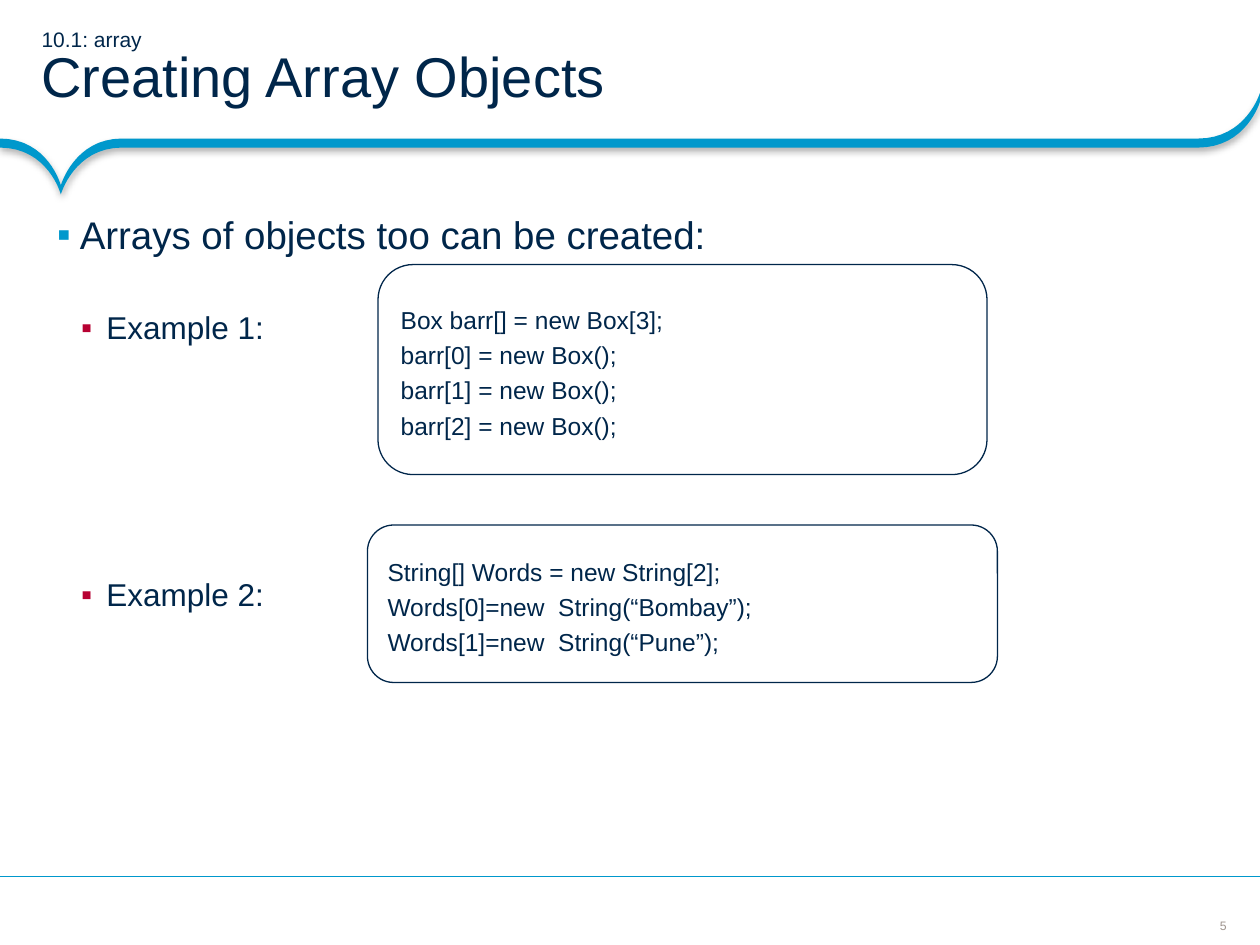
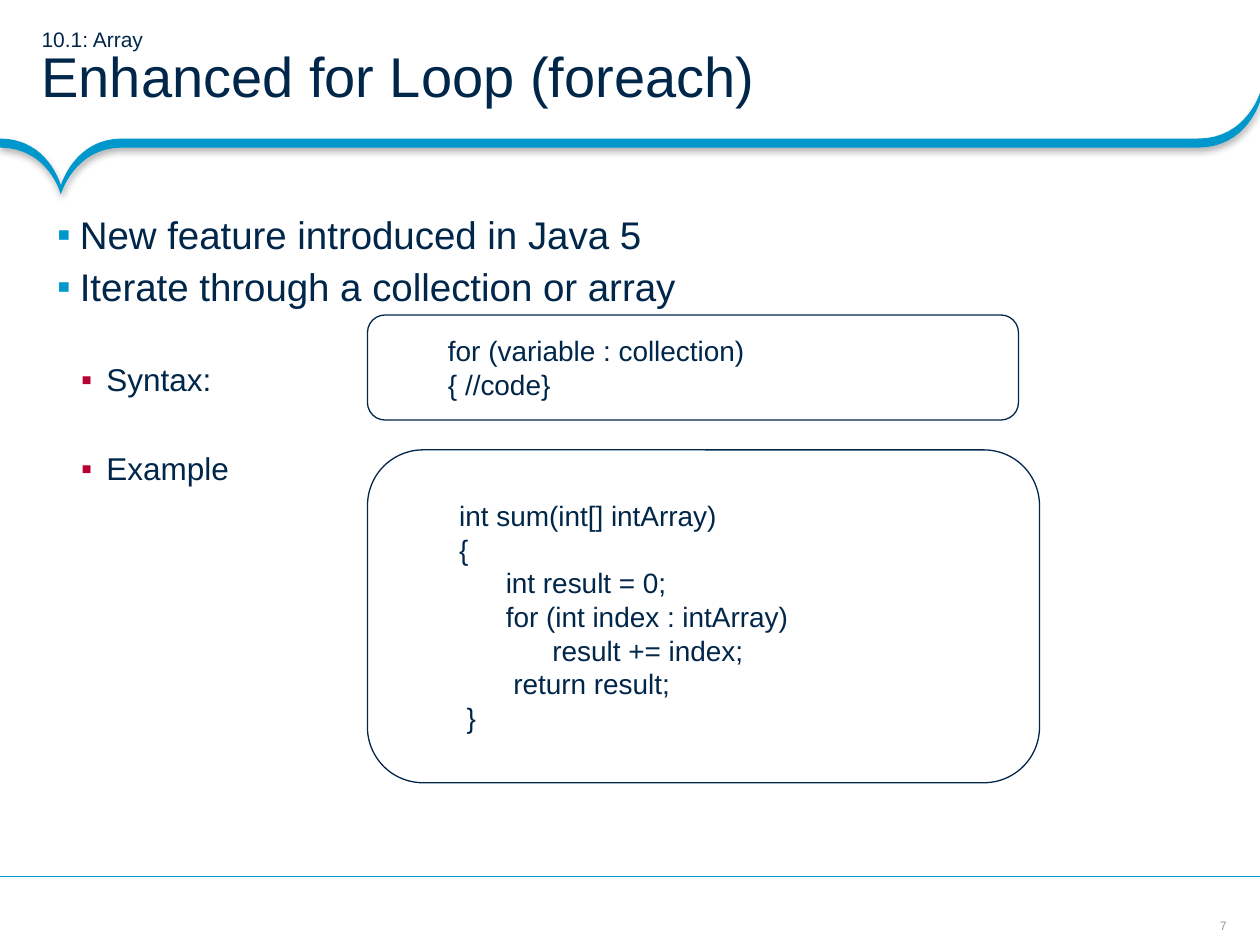
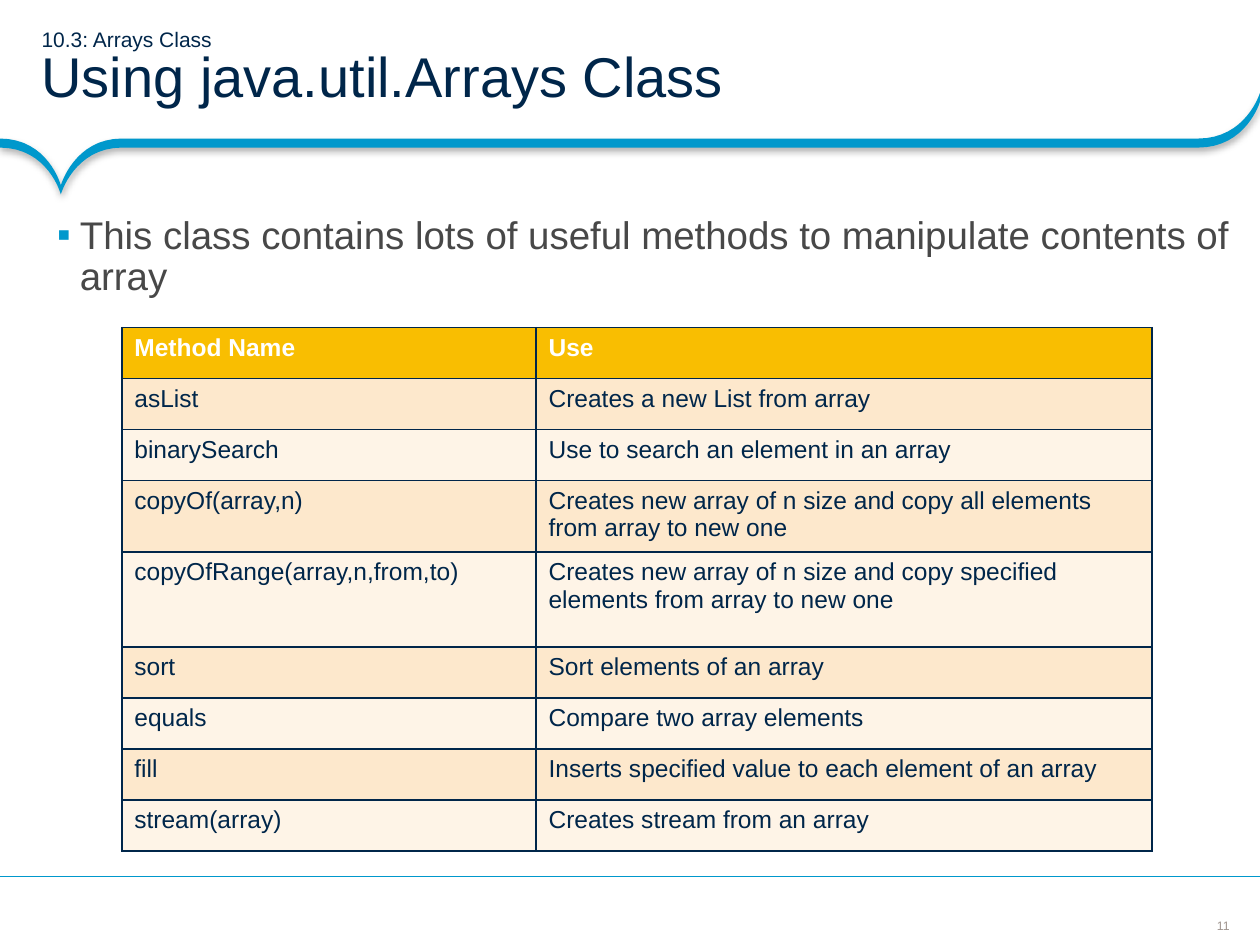
from dataclasses import dataclass

from lxml import etree
from pptx import Presentation
from pptx.dml.color import RGBColor
from pptx.enum.shapes import MSO_CONNECTOR, MSO_SHAPE
from pptx.enum.text import MSO_ANCHOR, PP_ALIGN
from pptx.oxml.ns import qn
from pptx.util import Inches, Pt

ROUNDED = MSO_SHAPE.ROUNDED_RECTANGLE
STRAIGHT = MSO_CONNECTOR.STRAIGHT
TOP, MIDDLE = MSO_ANCHOR.TOP, MSO_ANCHOR.MIDDLE
LEFT, CENTER = PP_ALIGN.LEFT, PP_ALIGN.CENTER

WIDTH, HEIGHT = Inches(10), Inches(7.5)
COLUMNS, ROWS = 120, 90  # square grid cells


@dataclass(frozen=True)
class Theme:
    font: str = "Arial"
    navy: str = "00264A"
    blue: str = "0098CC"
    red: str = "B70132"
    gray: str = "484848"
    page_gray: str = "9F958F"
    white: str = "FFFFFF"
    header: str = "F9BE01"
    bands: tuple = ("FDE8CC", "FEF4E7")
    title: int = 32
    bullet: int = 22
    sub_bullet: int = 18
    code: int = 16
    small_code: int = 14
    cell: int = 14
    section: int = 12
    page: int = 7
    hairline: float = 0.75
    border: float = 1


def rgb(value):
    return RGBColor.from_string(value)


def add_xml(parent, tag, **attributes):
    return etree.SubElement(parent, qn(tag), {k: str(v) for k, v in attributes.items()})


def curve(start, first, second, end, steps=16):
    """Points of a cubic curve, without its start."""
    for step in range(1, steps + 1):
        t = step / steps
        weights = ((1 - t) ** 3, 3 * t * (1 - t) ** 2, 3 * t * t * (1 - t), t ** 3)
        yield tuple(sum(w * p[axis] for w, p in zip(weights, (start, first, second, end)))
                    for axis in (0, 1))


class Deck:
    def __init__(self, theme):
        self.theme = theme
        self.presentation = Presentation()
        self.presentation.slide_width = WIDTH
        self.presentation.slide_height = HEIGHT
        self.slide = None

    # Grid
    def x(self, columns):
        return round(WIDTH * columns / COLUMNS)

    def y(self, rows):
        return round(HEIGHT * rows / ROWS)

    def area(self, left, top, width, height):
        return self.x(left), self.y(top), self.x(width), self.y(height)

    # Text
    def style(self, paragraph, size, color, bold=False, align=LEFT, spacing=1.0):
        paragraph.alignment = align
        paragraph.line_spacing = spacing
        font = paragraph.font
        font.name, font.size, font.bold = self.theme.font, Pt(size), bold
        font.color.rgb = rgb(color)

    def indent(self, paragraph, margin, hanging=0.0):
        properties = paragraph._p.get_or_add_pPr()
        properties.set("marL", str(Inches(margin)))
        properties.set("indent", str(Inches(-hanging)))
        return properties

    def frame(self, shape, margins, anchor):
        frame = shape.text_frame
        frame.word_wrap = True
        frame.vertical_anchor = anchor
        (frame.margin_left, frame.margin_top,
         frame.margin_right, frame.margin_bottom) = map(Inches, margins)
        return frame

    def text_area(self, area, margins=(0, 0, 0, 0), anchor=TOP):
        return self.frame(self.slide.shapes.add_textbox(*self.area(*area)), margins, anchor)

    def paragraphs(self, frame, count):
        return [frame.paragraphs[0]] + [frame.add_paragraph() for _ in range(count - 1)]

    # Slide with its shared parts
    def start(self, section, title, number):
        self.slide = self.presentation.slides.add_slide(self.presentation.slide_layouts[6])
        self.page_number(number)
        self.band()
        self.footer_rule()
        self.heading(section, title)

    def page_number(self, number):
        paragraph = self.text_area((114.5, 87.5, 4, 1.4), anchor=MIDDLE).paragraphs[0]
        paragraph.text = str(number)
        self.style(paragraph, self.theme.page, self.theme.page_gray, align=CENTER)

    def band(self):
        level, thickness = 13.2, 0.86
        start, tip, shoulder = (0, level), (5.8, 17.65), (11.6, level)
        bend, end = (114.1, level), (COLUMNS, 8.85)
        upper = [start,
                 *curve(start, (4.6, level), tip, tip),
                 *curve(tip, tip, (7.1, level), shoulder),
                 bend,
                 *curve(bend, (118.7, level), end, end)]
        lower = [(column, row + thickness) for column, row in reversed(upper)]
        outline = [(self.x(column), self.y(row)) for column, row in upper + lower]
        builder = self.slide.shapes.build_freeform(*outline[0])
        builder.add_line_segments(outline[1:], close=True)
        band = builder.convert_to_shape()
        band.fill.solid()
        band.fill.fore_color.rgb = rgb(self.theme.blue)
        band.line.fill.background()
        band.shadow.inherit = False
        effects = band._element.spPr.find(qn("a:effectLst"))
        shadow = add_xml(effects, "a:outerShdw", blurRad=Pt(4), dist=Pt(2),
                         dir=90 * 60000, rotWithShape=0)
        add_xml(add_xml(shadow, "a:srgbClr", val="000000"), "a:alpha", val=31000)

    def footer_rule(self):
        row = self.y(83.5)
        rule = self.slide.shapes.add_connector(STRAIGHT, WIDTH, row, 0, row)
        rule.line.color.rgb = rgb(self.theme.blue)
        rule.line.width = Pt(self.theme.hairline)
        add_xml(rule._element.spPr, "a:effectLst")

    def heading(self, section, title):
        frame = self.text_area((0, 0, COLUMNS, 13.2), (0.33, 0.04, 0.18, 0.04), MIDDLE)
        paragraph = frame.paragraphs[0]
        self.style(paragraph, self.theme.section, self.theme.navy, spacing=0.85)
        paragraph.add_run().text = section
        paragraph.add_line_break()
        title_run = paragraph.add_run()
        title_run.text = title
        title_run.font.size = Pt(self.theme.title)

    # Bullets: (text, level, space before in points)
    def bullets(self, items, color=None):
        theme = self.theme
        levels = ((theme.bullet, theme.blue, 0.18, 0.18),
                  (theme.sub_bullet, theme.red, 0.39, 0.2))
        frame = self.text_area((4, 19.6, 116, 61), (0.12, 0.08, 0.08, 0.08))
        for paragraph, (text, level, before) in zip(self.paragraphs(frame, len(items)), items):
            size, mark, margin, hanging = levels[level]
            paragraph.text = text
            paragraph.level = level
            properties = self.indent(paragraph, margin, hanging)
            add_xml(add_xml(properties, "a:buClr"), "a:srgbClr", val=mark)
            add_xml(properties, "a:buFont", typeface=theme.font)
            add_xml(properties, "a:buChar", char="▪")
            self.style(paragraph, size, color or theme.navy, spacing=0.9)
            paragraph.space_before, paragraph.space_after = Pt(before), Pt(6)

    # Code box: lines of (text, indent in inches)
    def code(self, area, lines, size, spacing=1.0):
        box = self.slide.shapes.add_shape(ROUNDED, *self.area(*area))
        box.adjustments[0] = 0.167
        box.fill.background()
        box.line.color.rgb = rgb(self.theme.navy)
        box.line.width = Pt(self.theme.hairline)
        box.shadow.inherit = False
        frame = self.frame(box, (0.1, 0.05, 0.1, 0.05), MIDDLE)
        for paragraph, (text, margin) in zip(self.paragraphs(frame, len(lines)), lines):
            paragraph.text = text
            self.indent(paragraph, margin)
            self.style(paragraph, size, self.theme.navy, spacing=spacing)

    # Table
    def table(self, left, top, widths, heights, rows):
        theme = self.theme
        table = self.slide.shapes.add_table(
            len(rows), len(widths),
            *self.area(left, top, sum(widths), sum(heights))).table
        table.horz_banding = False
        for column, width in zip(table.columns, widths):
            column.width = self.x(width)
        for index, (row, height, texts) in enumerate(zip(table.rows, heights, rows)):
            row.height = self.y(height)
            is_header = index == 0
            fill = theme.header if is_header else theme.bands[(index - 1) % 2]
            for cell, text in zip(row.cells, texts):
                cell.text = text
                self.style(cell.text_frame.paragraphs[0], theme.cell,
                           theme.white if is_header else theme.navy, bold=is_header)
                self.borders(cell)
                cell.fill.solid()
                cell.fill.fore_color.rgb = rgb(fill)

    def borders(self, cell):
        properties = cell._tc.get_or_add_tcPr()
        for side in ("a:lnL", "a:lnR", "a:lnT", "a:lnB"):
            line = add_xml(properties, side, w=Pt(self.theme.border))
            add_xml(add_xml(line, "a:solidFill"), "a:srgbClr", val=self.theme.navy)


def array_objects(deck):
    deck.start("10.1: array", "Creating Array Objects", 5)
    deck.bullets([("Arrays of objects too can be created:", 0, 0),
                  ("Example 1:", 1, 25.4),
                  ("Example 2:", 1, 127)])
    box_array = ("Box barr[] = new Box[3];", "barr[0] = new Box();",
                 "barr[1] = new Box();", "barr[2] = new Box();")
    word_array = ("String[] Words = new String[2];",
                  "Words[0]=new  String(“Bombay”);",
                  "Words[1]=new  String(“Pune”);")
    for area, lines in (((36, 25.2, 58, 20), box_array), ((35, 50, 60, 15), word_array)):
        deck.code(area, [(line, 0) for line in lines], deck.theme.small_code, spacing=1.2)


def enhanced_for(deck):
    deck.start("10.1: Array", "Enhanced for Loop (foreach)", 7)
    deck.bullets([("New feature introduced in Java 5", 0, 0),
                  ("Iterate through a collection or array", 0, 0),
                  ("Syntax:", 1, 25.4),
                  ("Example", 1, 25.4)])
    sum_method = [("int sum(int[] intArray)", 0.5), ("{", 0.5),
                  ("int result = 0;", 0.87), ("for (int index : intArray)", 0.87),
                  ("result += index;", 1.24), ("return result;", 0.93), ("}", 0.56)]
    syntax = [("for (variable : collection)", 0.5), ("{ //code}", 0.5)]
    deck.code((35, 42.85, 64, 31.7), sum_method, deck.theme.code)
    deck.code((35, 30, 62, 10), syntax, deck.theme.code)


def arrays_class(deck):
    deck.start("10.3: Arrays Class", "Using java.util.Arrays Class", 11)
    methods = [
        ("Method Name", "Use"),
        ("asList", "Creates a new List from array"),
        ("binarySearch", "Use to search an element in an array"),
        ("copyOf(array,n)",
         "Creates new array of n size and copy all elements from array to new one"),
        ("copyOfRange(array,n,from,to)",
         "Creates new array of n size and copy specified elements from array to new one"),
        ("sort", "Sort elements of an array"),
        ("equals", "Compare two array elements"),
        ("fill", "Inserts specified value to each element of an array"),
        ("stream(array)", "Creates stream from an array"),
    ]
    row = 4.86
    heights = [row] * 3 + [6.45, 9.05] + [row] * 4
    deck.table(11.6, 31.2, (39.45, 58.65), heights, methods)
    deck.bullets([("This class contains lots of useful methods to manipulate contents of array",
                   0, 0)], deck.theme.gray)


def main():
    deck = Deck(Theme())
    array_objects(deck)
    enhanced_for(deck)
    arrays_class(deck)
    deck.presentation.save("out.pptx")


if __name__ == "__main__":
    main()
